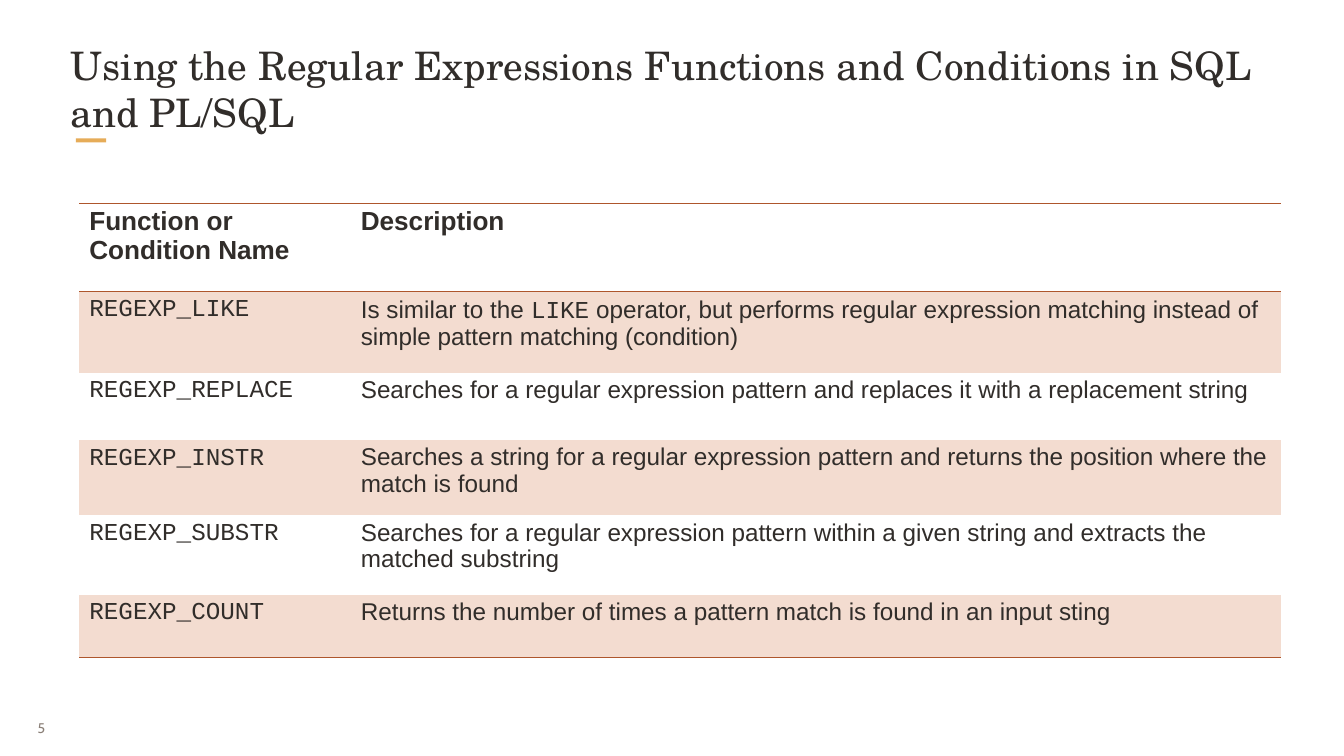
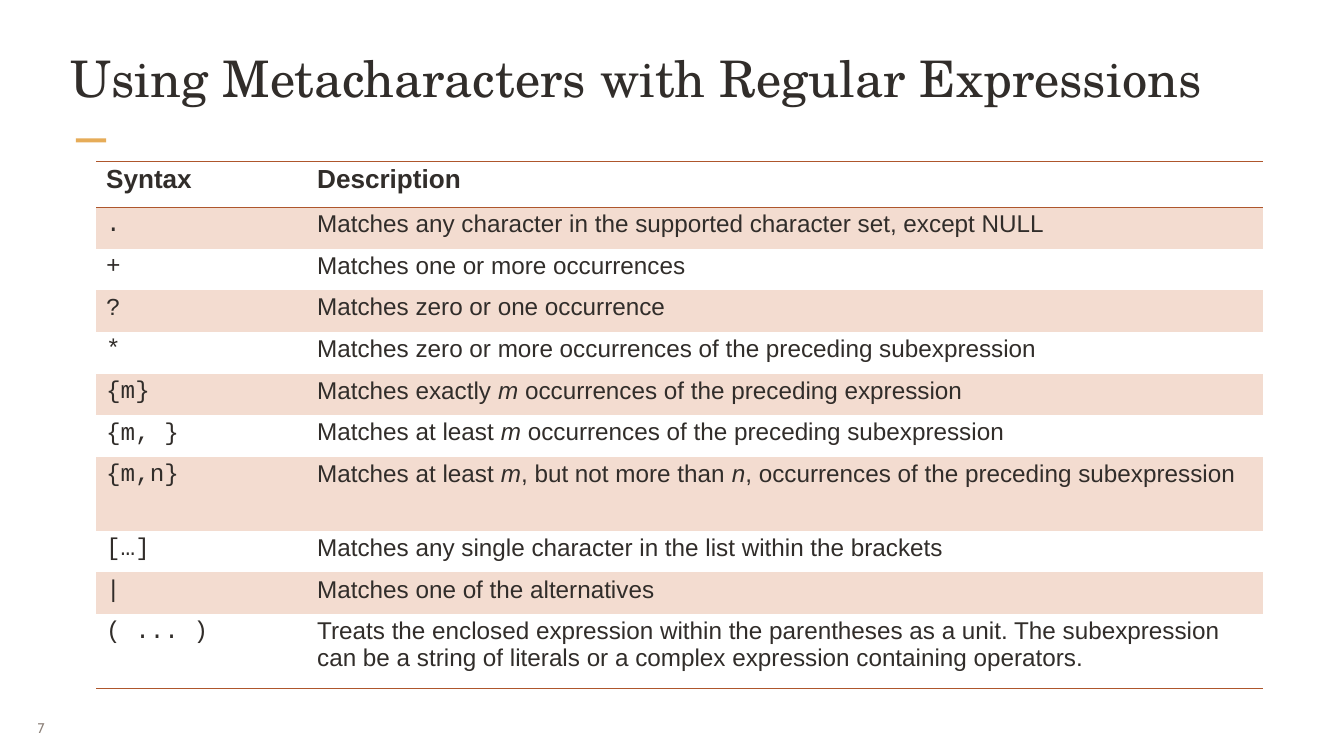
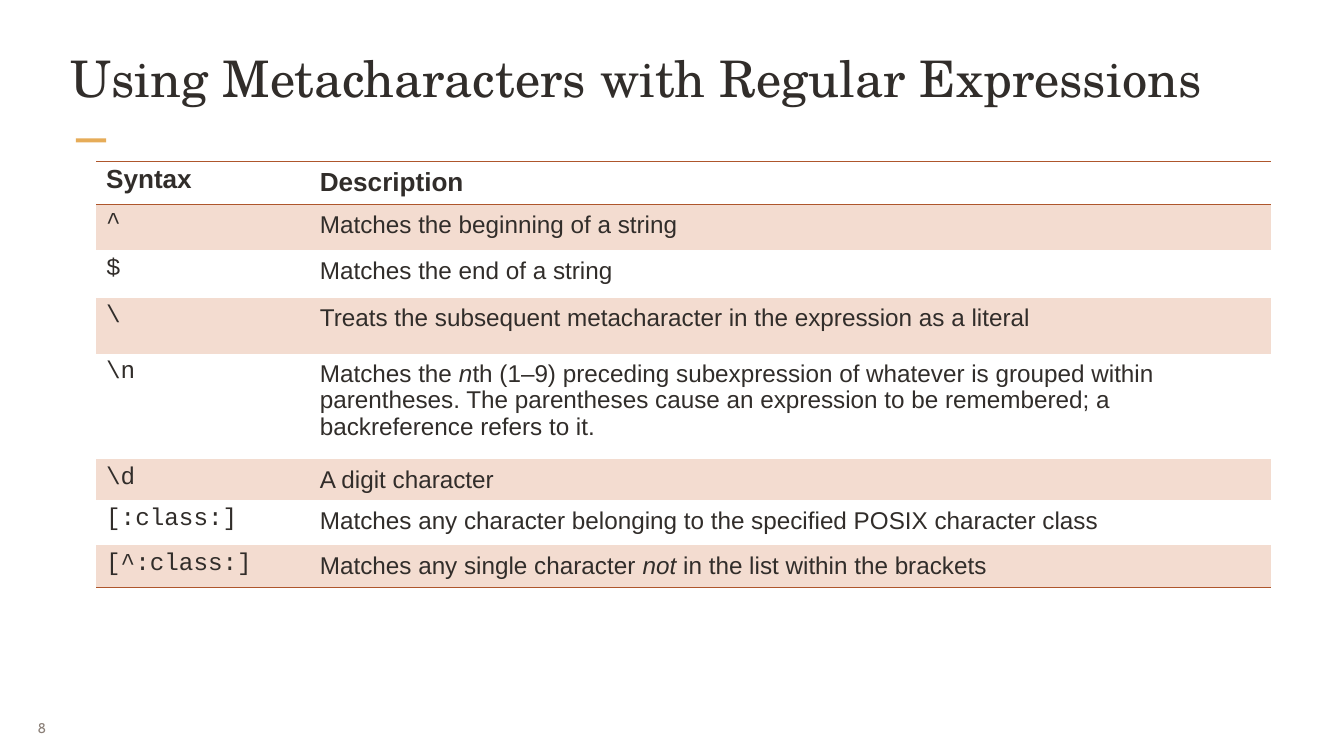
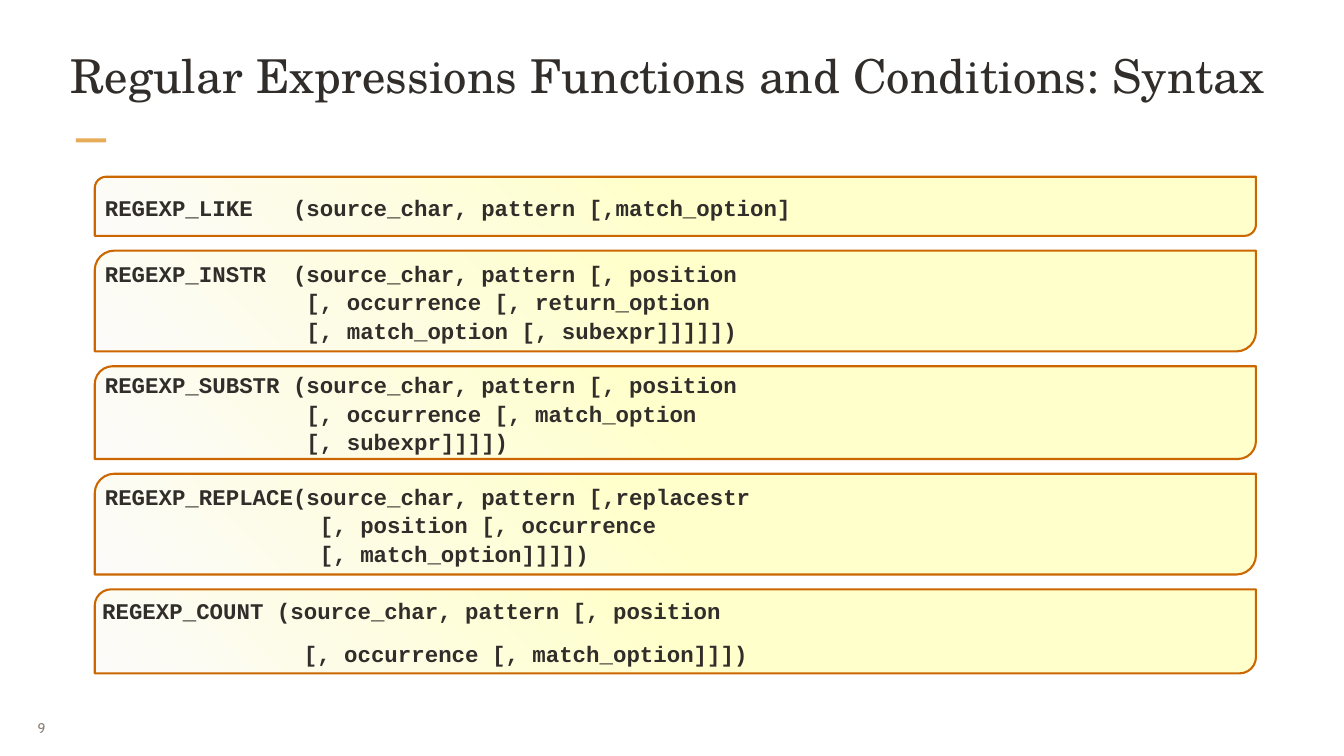
"""Build four slides on regular expression functions and metacharacters."""
from lxml.etree import SubElement
from pptx import Presentation
from pptx.dml.color import RGBColor
from pptx.enum.shapes import MSO_SHAPE as SHAPE
from pptx.enum.text import MSO_ANCHOR as ANCHOR, MSO_AUTO_SIZE as AUTO, PP_ALIGN as ALIGN
from pptx.oxml.ns import qn
from pptx.util import Inches, Pt

INK, ACCENT, MUTED, BAND, RULE = "312D2A", "E6AC58", "8B8078", "F3DCD0", "AE562C"
CODE_LINE, CODE_STOPS = "CC6600", [(0, "FFFFCC"), (50, "FFFFCC"), (100, "FCFBFA")]
NO_STYLE = "{2D5ABB26-0587-4C30-8999-92F81FD0307C}"

TITLE = {"name": "TeX Gyre Schola", "color": INK, "bold": False}
NUMBER = {"name": "Cabin", "size": 15, "color": MUTED}
HEAD = {"name": "Arial", "size": 28, "color": INK, "bold": True}
BODY = {"name": "Arial", "size": 26, "color": INK, "bold": False}
SYNTAX = {**BODY, "name": "Courier New"}
CODE = {"name": "Courier New", "size": 24, "color": INK, "bold": True}
ITALIC, MONO = {"italic": True}, {"name": "Courier New"}

NAME_INSETS = (0.15, 0.07, 0.15, 0.07)

TABLE_SLIDES = [
    {"number": 5, "size": 42, "top": 0.59,
     "title": "Using the Regular Expressions Functions and Conditions in SQL \vand PL/SQL",
     "at": (1.18, 3.03), "cols": (4.04, 13.84), "insets": NAME_INSETS, "mark": MONO,
     "rows": [
         (1.31, "Function or Condition Name", "Description"),
         (1.21, "REGEXP_LIKE", "Is similar to the ~LIKE~ operator, but performs regular expression "
          "matching instead of simple pattern matching (condition)"),
         (1, "REGEXP_REPLACE", "Searches for a regular expression pattern and replaces it with a "
          "replacement string"),
         (1.12, "REGEXP_INSTR", "Searches a string for a regular expression pattern and returns "
          "the position where the match is found"),
         (1.18, "REGEXP_SUBSTR", "Searches for a regular expression pattern within a given string "
          "and extracts the matched substring"),
         (0.94, "REGEXP_COUNT", "Returns the number of times a pattern match is found in an input "
          "sting"),
     ]},
    {"number": 7, "size": 54, "top": 0.67,
     "title": "Using Metacharacters with Regular Expressions",
     "at": (1.43, 2.4), "cols": (3.05, 14.31), "insets": (0.24, 0.07, 0.15, 0.07), "mark": ITALIC,
     "rows": [
         (0.68, "Syntax", "Description"),
         (0.62, ".", "Matches any character in the supported character set, except NULL"),
         (0.62, "+", "Matches one or more occurrences"),
         (0.62, "?", "Matches zero or one occurrence"),
         (0.62, "*", "Matches zero or more occurrences of the preceding subexpression"),
         (0.62, "{m}", "Matches exactly ~m~ occurrences of the preceding expression"),
         (0.62, "{m, }", "Matches at least ~m~ occurrences of the preceding subexpression"),
         (1.1, "{m,n}", "Matches at least ~m~, but not more than ~n~, occurrences of the "
          "preceding subexpression"),
         (0.62, "[…]", "Matches any single character in the list within the brackets"),
         (0.62, "|", "Matches one of the alternatives"),
         (1.1, "( ... )", "Treats the enclosed expression within the parentheses as a unit. The "
          "subexpression can be a string of literals or a complex expression containing "
          "operators."),
     ]},
    {"number": 8, "size": 54, "top": 0.67,
     "title": "Using Metacharacters with Regular Expressions",
     "at": (1.43, 2.4), "cols": (3.33, 14.15), "insets": (0, 0.12, 0, 0.07), "mark": ITALIC,
     "rows": [
         (0.63, "Syntax", "Description"),
         (0.68, "^", "Matches the beginning of a string"),
         (0.71, "$", "Matches the end of a string"),
         (0.83, "\\", "Treats the subsequent metacharacter in the expression as a literal"),
         (1.57, "\\n", "Matches the ~n~th (1–9) preceding subexpression of whatever is grouped "
          "within parentheses. The parentheses cause an expression to be remembered; a "
          "backreference refers to it."),
         (0.59, "\\d", "A digit character"),
         (0.67, "[:class:]", "Matches any character belonging to the specified POSIX character "
          "class"),
         (0.63, "[^:class:]", "Matches any single character ~not~ in the list within the "
          "brackets"),
     ]},
]

SYNTAX_SLIDE = {"number": 9, "size": 50, "top": 0.67,
                "title": "Regular Expressions Functions and Conditions: Syntax"}
PANEL_LEFT, PANEL_TOP, PANEL_WIDTH, PANEL_GAP = 1.41, 2.63, 17.28, 0.22
PANELS = [
    {"height": 0.88, "lines": ["REGEXP_LIKE   (source_char, pattern [,match_option]"]},
    {"height": 1.5, "lines": ["REGEXP_INSTR  (source_char, pattern [, position",
                              "               [, occurrence [, return_option",
                              "               [, match_option [, subexpr]]]]])"]},
    {"height": 1.38, "lines": ["REGEXP_SUBSTR (source_char, pattern [, position",
                               "               [, occurrence [, match_option",
                               "               [, subexpr]]]])"]},
    {"height": 1.5, "lines": ["REGEXP_REPLACE(source_char, pattern [,replacestr",
                              "                [, position [, occurrence",
                              "                [, match_option]]]])"]},
    {"height": 1.25, "shift": -0.04, "gap": 15,
     "lines": ["REGEXP_COUNT (source_char, pattern [, position",
               "               [, occurrence [, match_option]]])"]},
]


def rgb(value):
    """Turn a hex string into a colour."""
    return RGBColor.from_string(value)


def set_font(font, style):
    """Apply a dict of format values to a font."""
    for name, value in style.items():
        if name == "color":
            font.color.rgb = rgb(value)
        else:
            setattr(font, name, Pt(value) if name == "size" else value)


def set_insets(target, insets):
    """Set the left, top, right and bottom margins of a text frame or cell."""
    for side, value in zip(("left", "top", "right", "bottom"), insets):
        setattr(target, f"margin_{side}", Inches(value))


def add_text_box(s, at, insets, wrap):
    """Add a vertically centred text box and return its text frame."""
    tf = s.shapes.add_textbox(*map(Inches, at)).text_frame
    tf.word_wrap, tf.vertical_anchor = wrap, ANCHOR.MIDDLE
    set_insets(tf, insets)
    return tf


def add_slide(prs, info):
    """Add a slide with its title, accent bar and number."""
    s = prs.slides.add_slide(prs.slide_layouts[5])
    bar = s.shapes.add_shape(SHAPE.RECTANGLE, *map(Inches, (1.13, 2.06, 0.45, 0.06)))
    bar.shadow.inherit = False
    bar.fill.solid()
    bar.fill.fore_color.rgb = rgb(ACCENT)
    bar.line.fill.background()

    p = add_text_box(s, (0.43, 10.54, 0.65, 0.58), (0.13, 0.07, 0.13, 0.07), False).paragraphs[0]
    p.alignment = ALIGN.JUSTIFY
    r = p.add_run()
    r.text = str(info["number"])
    set_font(r.font, NUMBER)

    title = s.shapes.title
    for name, value in zip(("left", "top", "width", "height"), (1.02, info["top"], 17.96, 1.28)):
        setattr(title, name, Inches(value))
    tf = title.text_frame
    tf.text = info["title"]
    tf.word_wrap, tf.auto_size, tf.vertical_anchor = True, AUTO.NONE, ANCHOR.TOP
    set_insets(tf, (0.03,) * 4)
    p = tf.paragraphs[0]
    p.alignment = ALIGN.LEFT
    for r in p.runs:
        set_font(r.font, {**TITLE, "size": info["size"]})
    return s


def add_rule(cell, tag):
    """Draw a thin rule along one side of a cell."""
    ln = SubElement(cell._tc.get_or_add_tcPr(), qn(tag), w=str(Pt(1)))
    SubElement(SubElement(ln, qn("a:solidFill")), qn("a:srgbClr"), val=RULE)


def fill_cell(cell, text, style, mark, insets, banded):
    """Write a cell, giving the parts between tildes the mark format."""
    set_insets(cell, insets)
    cell.vertical_anchor = ANCHOR.TOP
    if banded:
        cell.fill.solid()
        cell.fill.fore_color.rgb = rgb(BAND)
    else:
        cell.fill.background()
    p = cell.text_frame.paragraphs[0]
    p.line_spacing = 0.97
    for i, part in enumerate(text.split("~")):
        r = p.add_run()
        r.text = part
        set_font(r.font, {**style, **mark} if i % 2 else style)


def add_syntax_table(s, info):
    """Add a banded table with rules round the header and at the foot."""
    rows, cols = info["rows"], info["cols"]
    size = sum(cols), sum(row[0] for row in rows)
    table = s.shapes.add_table(len(rows), len(cols), *map(Inches, info["at"] + size)).table
    table.horz_banding = False
    table._tbl.tblPr.find(qn("a:tableStyleId")).text = NO_STYLE
    for column, width in zip(table.columns, cols):
        column.width = Inches(width)
    for i, (height, *texts) in enumerate(rows):
        table.rows[i].height = Inches(height)
        styles = (SYNTAX, BODY) if i else (HEAD, HEAD)
        for j, (text, style, insets) in enumerate(zip(texts, styles, (NAME_INSETS, info["insets"]))):
            cell = table.cell(i, j)
            if i == 0:
                add_rule(cell, "a:lnT")
            if i in (0, len(rows) - 1):
                add_rule(cell, "a:lnB")
            fill_cell(cell, text, style, info["mark"], insets, i % 2 == 1)


def add_panel(s, top, panel):
    """Add a gradient panel with lines of code over it."""
    height, shift = panel["height"], panel.get("shift", 0)
    box = s.shapes.add_shape(SHAPE.ROUND_2_DIAG_RECTANGLE,
                             *map(Inches, (PANEL_LEFT, top, PANEL_WIDTH, height)))
    box.shadow.inherit = False
    box.adjustments[0], box.adjustments[1] = 0.194, 0
    box.line.color.rgb, box.line.width = rgb(CODE_LINE), Pt(2.25)
    box.fill.gradient()
    box.fill.gradient_angle = 225
    stops = box._element.spPr.find(qn("a:gradFill")).find(qn("a:gsLst"))
    for stop in list(stops):
        stops.remove(stop)
    for pos, color in CODE_STOPS:
        SubElement(SubElement(stops, qn("a:gs"), pos=str(pos * 1000)), qn("a:srgbClr"), val=color)

    tf = add_text_box(s, (PANEL_LEFT + shift, top, PANEL_WIDTH - shift, height),
                      (0.15, 0.01, 0.15, 0.01), True)
    for i, line in enumerate(panel["lines"]):
        p = tf.add_paragraph() if i else tf.paragraphs[0]
        pPr = p._p.get_or_add_pPr()
        pPr.set("marL", str(Inches(0.75)))
        pPr.set("indent", str(Inches(-0.75)))
        p.line_spacing = 1.06
        if i:
            p.space_before = Pt(panel.get("gap", 0))
        r = p.add_run()
        r.text = line
        set_font(r.font, CODE)


def main():
    """Build and save the slides."""
    prs = Presentation()
    prs.slide_width, prs.slide_height = Inches(20), Inches(11.25)
    for info in TABLE_SLIDES:
        add_syntax_table(add_slide(prs, info), info)
    s, top = add_slide(prs, SYNTAX_SLIDE), PANEL_TOP
    for panel in PANELS:
        add_panel(s, top, panel)
        top += panel["height"] + PANEL_GAP
    prs.save("out.pptx")


if __name__ == "__main__":
    main()
